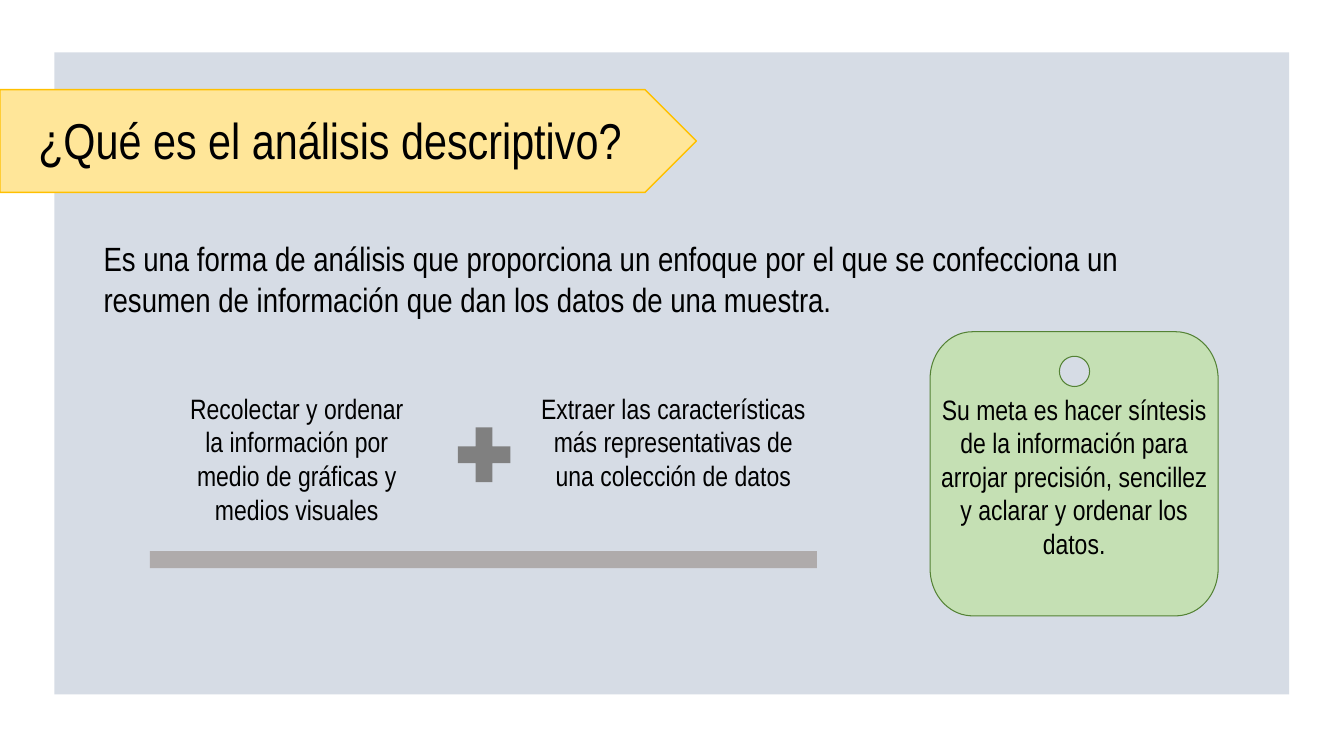
from math import cos, radians, sin

from pptx import Presentation
from pptx.dml.color import RGBColor
from pptx.enum.shapes import MSO_SHAPE
from pptx.enum.text import MSO_ANCHOR, MSO_AUTO_SIZE, PP_ALIGN
from pptx.util import Cm, Pt

RECTANGLE, PENTAGON, PLUS = MSO_SHAPE.RECTANGLE, MSO_SHAPE.PENTAGON, MSO_SHAPE.MATH_PLUS
TOP, MIDDLE = MSO_ANCHOR.TOP, MSO_ANCHOR.MIDDLE
LEFT, CENTER = PP_ALIGN.LEFT, PP_ALIGN.CENTER
TITLE_ONLY = 5


def paint(shape, fill, line=None, width=1):
    shape.shadow.inherit = False
    shape.fill.solid()
    shape.fill.fore_color.rgb = RGBColor.from_string(fill)
    if line:
        shape.line.color.rgb = RGBColor.from_string(line)
        shape.line.width = Pt(width)
    else:
        shape.line.fill.background()


def write(shape, text, size=20, align=CENTER, anchor=TOP, inset_top=0.13):
    frame = shape.text_frame
    frame.word_wrap = True
    frame.auto_size = MSO_AUTO_SIZE.NONE
    frame.vertical_anchor = anchor
    frame.margin_top = Cm(inset_top)
    paragraph = frame.paragraphs[0]
    paragraph.alignment = align
    paragraph.line_spacing = 1.0
    run = paragraph.add_run()
    run.text = text
    run.font.name = "Arial Narrow"
    run.font.size = Pt(size)
    run.font.color.rgb = RGBColor.from_string("000000")


prs = Presentation()
prs.slide_width, prs.slide_height = Cm(33.87), Cm(19.05)
slide = prs.slides.add_slide(prs.slide_layouts[TITLE_ONLY])
shapes = slide.shapes

# Panel, title banner, plus sign and bar under the two tasks
for preset, box, fill, line in [
    (RECTANGLE, (1.37, 1.32, 31.12, 16.18), "D6DCE5", None),
    (PENTAGON, (0, 2.26, 17.55, 2.59), "FFE699", "FFC000"),
    (PLUS, (11.3, 10.52, 1.8, 1.88), "808080", None),
    (RECTANGLE, (3.78, 13.89, 16.81, 0.43), "AFABAB", None),
]:
    paint(shapes.add_shape(preset, *map(Cm, box)), fill, line)

# Title, brought in front of its banner
title = shapes.title
title.left, title.top, title.width, title.height = Cm(0.71), Cm(2.62), Cm(16.23), Cm(1.8)
write(title, "¿Qué es el análisis descriptivo?", size=36, align=LEFT, anchor=MIDDLE)
shapes._spTree.append(title._element)

# Definition and the two tasks
for box, text, style in [
    ((2.36, 5.87, 27.74, 2.31),
     "Es una forma de análisis que proporciona un enfoque por el que se confecciona "
     "un resumen de información que dan los datos de una muestra.",
     {"size": 24, "align": LEFT}),
    ((4.24, 9.73, 6.48, 3.68),
     "Recolectar y ordenar la información por medio de gráficas y medios visuales", {}),
    ((13.34, 9.73, 7.26, 3.68),
     "Extraer las características más representativas de una colección de datos", {}),
]:
    write(shapes.add_textbox(*map(Cm, box)), text, **style)

# Tag outline: four rounded corners, clockwise from the left edge
tag_left, tag_top, tag_right, tag_bottom = 23.44, 8.36, 30.7, 15.52
corner_x, corner_y = 1.07, 1.19
corner_centers = [
    (tag_left + corner_x, tag_top + corner_y),
    (tag_right - corner_x, tag_top + corner_y),
    (tag_right - corner_x, tag_bottom - corner_y),
    (tag_left + corner_x, tag_bottom - corner_y),
]
outline = []
for quarter, (x, y) in enumerate(corner_centers):
    for step in range(0, 91, 5):
        angle = radians(180 + 90 * quarter + step)
        outline.append((Cm(x + corner_x * cos(angle)), Cm(y + corner_y * sin(angle))))

# Tag hole, counter-clockwise so that it stays open
hole_x, hole_y, hole_radius = 27.08, 9.36, 0.38
hole = [(Cm(hole_x + hole_radius * cos(radians(a))), Cm(hole_y - hole_radius * sin(radians(a))))
        for a in range(0, 360, 10)]

builder = shapes.build_freeform(*outline[0])
builder.add_line_segments(outline[1:])
builder.move_to(*hole[0])
builder.add_line_segments(hole[1:])
tag = builder.convert_to_shape()
paint(tag, "C5E0B4", "548235", 0.75)
write(tag, "Su meta es hacer síntesis de la información para arrojar precisión, "
      "sencillez y aclarar y ordenar los datos.", inset_top=1.52)

prs.save("out.pptx")
